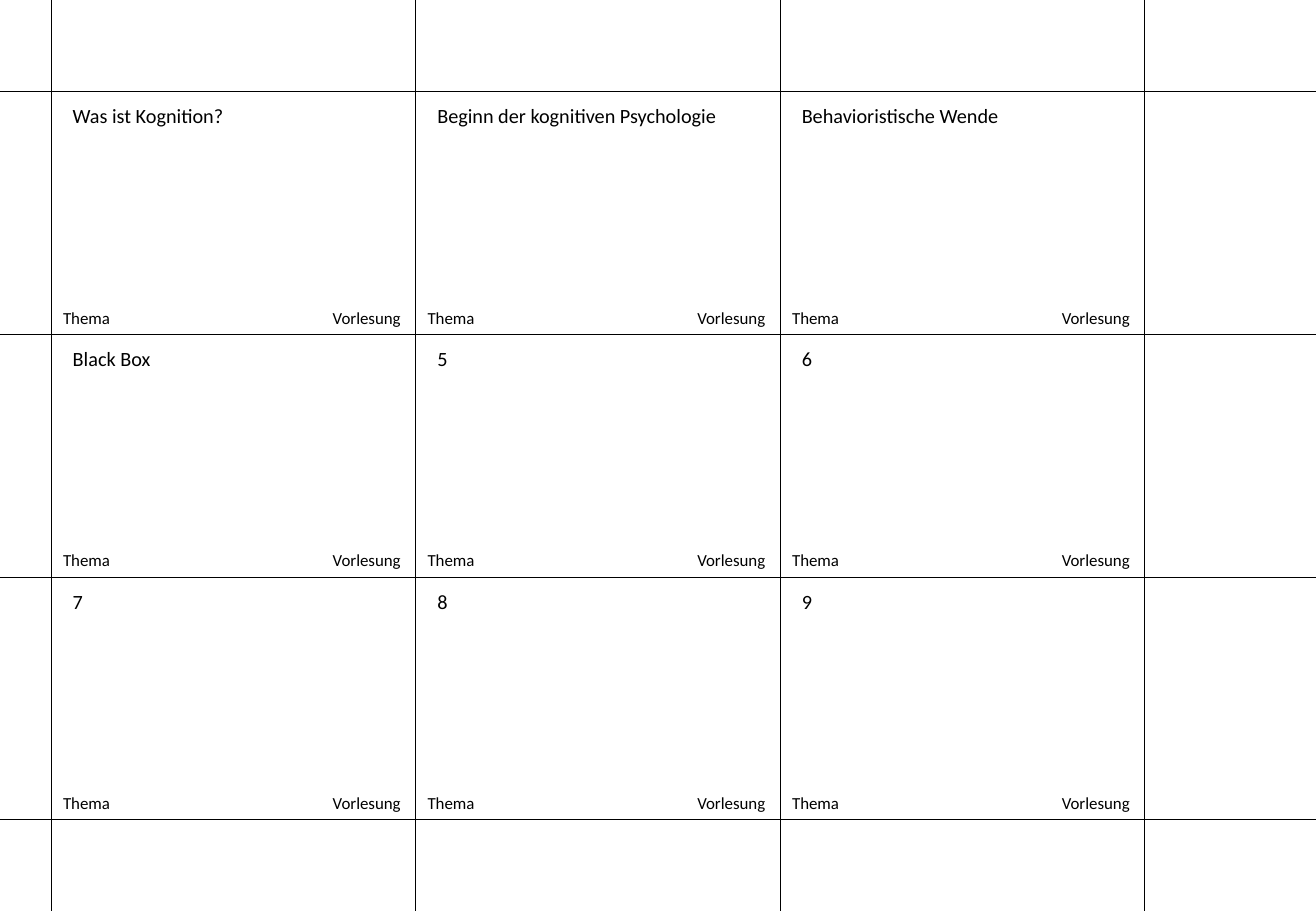
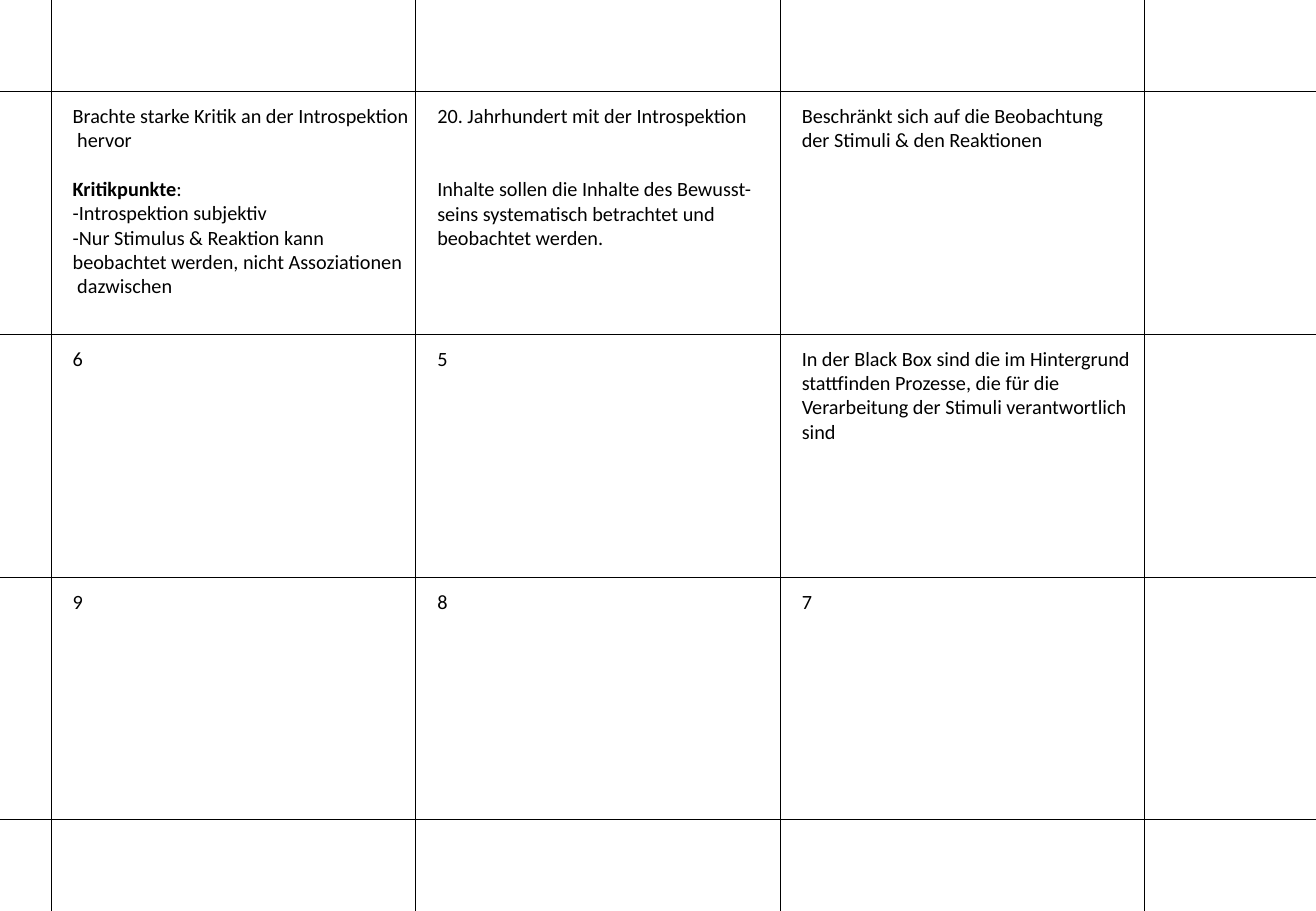
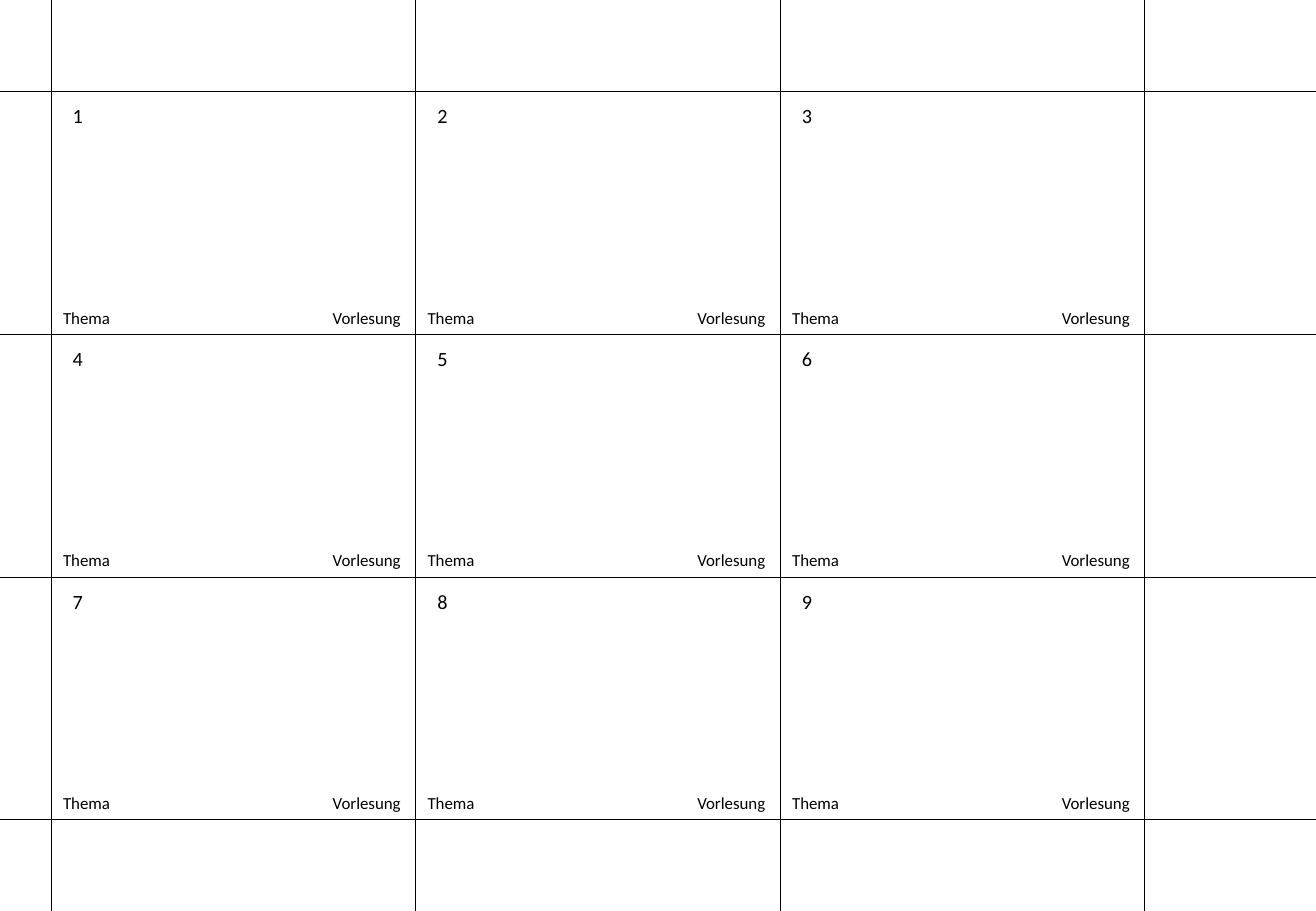
from dataclasses import dataclass

from lxml import etree
from pptx import Presentation
from pptx import util as u
from pptx.dml import color
from pptx.enum import shapes, text
from pptx.oxml import ns

# Shared style and card grid (inches and points)
COLORS = {"ink": "000000"}
FONT = "Calibri"
SLIDE_WIDTH, SLIDE_HEIGHT = 10.83, 7.5
GRID_LEFT, GRID_TOP = 0.42, 0.75
CARD_WIDTH, CARD_HEIGHT = 3, 2
COLUMNS = ROWS = 3
LINE_STEP = 14.6


@dataclass(frozen=True)
class Line:
    text: str
    bold_lead: str = ""
    skipped_lines: int = 0


@dataclass(frozen=True)
class Card:
    lines: tuple[Line, ...]
    width: float = 0.29
    height: float = 0.3


@dataclass(frozen=True)
class Label:
    text: str
    left: float
    width: float


LABELS = (Label("Thema", 0, 0.59), Label("Vorlesung", 2.22, 0.77))
LABEL_TOP, LABEL_HEIGHT = 1.73, 0.27
CARD_INSET_X, CARD_INSET_Y = 0.08, 0.05


def card_of(*lines: str | Line, **size: float) -> Card:
    return Card(tuple(Line(line) if isinstance(line, str) else line for line in lines), **size)


def numbered(*numbers: int) -> list[Card]:
    return [card_of(str(number)) for number in numbers]


def grid_x(column: int) -> float:
    return GRID_LEFT + column * CARD_WIDTH


def grid_y(row: int) -> float:
    return GRID_TOP + row * CARD_HEIGHT


def add_text(slide, lines: tuple[Line, ...], *, left: float, top: float,
             width: float, height: float, size: float) -> None:
    shape = slide.shapes.add_textbox(*map(u.Inches, (left, top, width, height)))
    frame = shape.text_frame
    frame.word_wrap = False
    frame.auto_size = text.MSO_AUTO_SIZE.SHAPE_TO_FIT_TEXT
    for index, line in enumerate(lines):
        paragraph = frame.add_paragraph() if index else frame.paragraphs[0]
        if line.skipped_lines:
            paragraph.space_before = u.Pt(line.skipped_lines * LINE_STEP)
        for content, bold in ((line.bold_lead, True), (line.text, False)):
            if content:
                run = paragraph.add_run()
                run.text = content
                run.font.name = FONT
                run.font.size = u.Pt(size)
                run.font.bold = bold
                run.font.color.rgb = color.RGBColor.from_string(COLORS["ink"])


def add_rule(slide, x1: float, y1: float, x2: float, y2: float) -> None:
    rule = slide.shapes.add_connector(
        shapes.MSO_CONNECTOR.STRAIGHT, *map(u.Inches, (x1, y1, x2, y2)))
    rule.line.color.rgb = color.RGBColor.from_string(COLORS["ink"])
    rule.line.width = u.Pt(0.5)
    properties = rule._element.find(ns.qn("p:spPr"))
    etree.SubElement(properties, ns.qn("a:effectLst"))


def add_card_slide(presentation, cards: list[Card], labelled: bool) -> None:
    slide = presentation.slides.add_slide(presentation.slide_layouts[6])
    # Cutting lines
    for column in range(COLUMNS + 1):
        add_rule(slide, grid_x(column), 0, grid_x(column), SLIDE_HEIGHT)
    for row in range(ROWS + 1):
        add_rule(slide, 0, grid_y(row), SLIDE_WIDTH, grid_y(row))
    # Cards and their footers
    for index, card in enumerate(cards):
        row, column = divmod(index, COLUMNS)
        x, y = grid_x(column), grid_y(row)
        for label in LABELS if labelled else ():
            add_text(slide, (Line(label.text),), left=x + label.left, top=y + LABEL_TOP,
                     width=label.width, height=LABEL_HEIGHT, size=10)
        add_text(slide, card.lines, left=x + CARD_INSET_X, top=y + CARD_INSET_Y,
                 width=card.width, height=card.height, size=12)


# Card contents; the backs run right to left
questions = [
    card_of("Was ist Kognition?", width=1.46),
    card_of("Beginn der kognitiven Psychologie", width=2.52),
    card_of("Behavioristische Wende", width=1.84),
    card_of("Black Box", width=0.85),
    *numbered(5, 6, 7, 8, 9),
]
answers = [
    card_of("Brachte starke Kritik an der Introspektion",
            " hervor",
            Line(":", bold_lead="Kritikpunkte", skipped_lines=1),
            "-Introspektion subjektiv",
            "-Nur Stimulus & Reaktion kann",
            "beobachtet werden, nicht Assoziationen",
            " dazwischen", width=3, height=1.92),
    card_of("20. Jahrhundert mit der Introspektion",
            Line("Inhalte sollen die Inhalte des Bewusst-", skipped_lines=2),
            "seins systematisch betrachtet und",
            "beobachtet werden.", width=2.82, height=1.51),
    card_of("Beschränkt sich auf die Beobachtung",
            "der Stimuli & den Reaktionen", width=2.75, height=0.5),
    *numbered(6, 5),
    card_of("In der Black Box sind die im Hintergrund",
            "stattfinden Prozesse, die für die",
            "Verarbeitung der Stimuli verantwortlich",
            "sind", width=2.97, height=0.91),
    *numbered(9, 8, 7),
]

# Slides
presentation = Presentation()
presentation.slide_width = u.Inches(SLIDE_WIDTH)
presentation.slide_height = u.Inches(SLIDE_HEIGHT)
add_card_slide(presentation, questions, labelled=True)
add_card_slide(presentation, answers, labelled=False)
add_card_slide(presentation, numbered(*range(1, 10)), labelled=True)
presentation.save("out.pptx")
